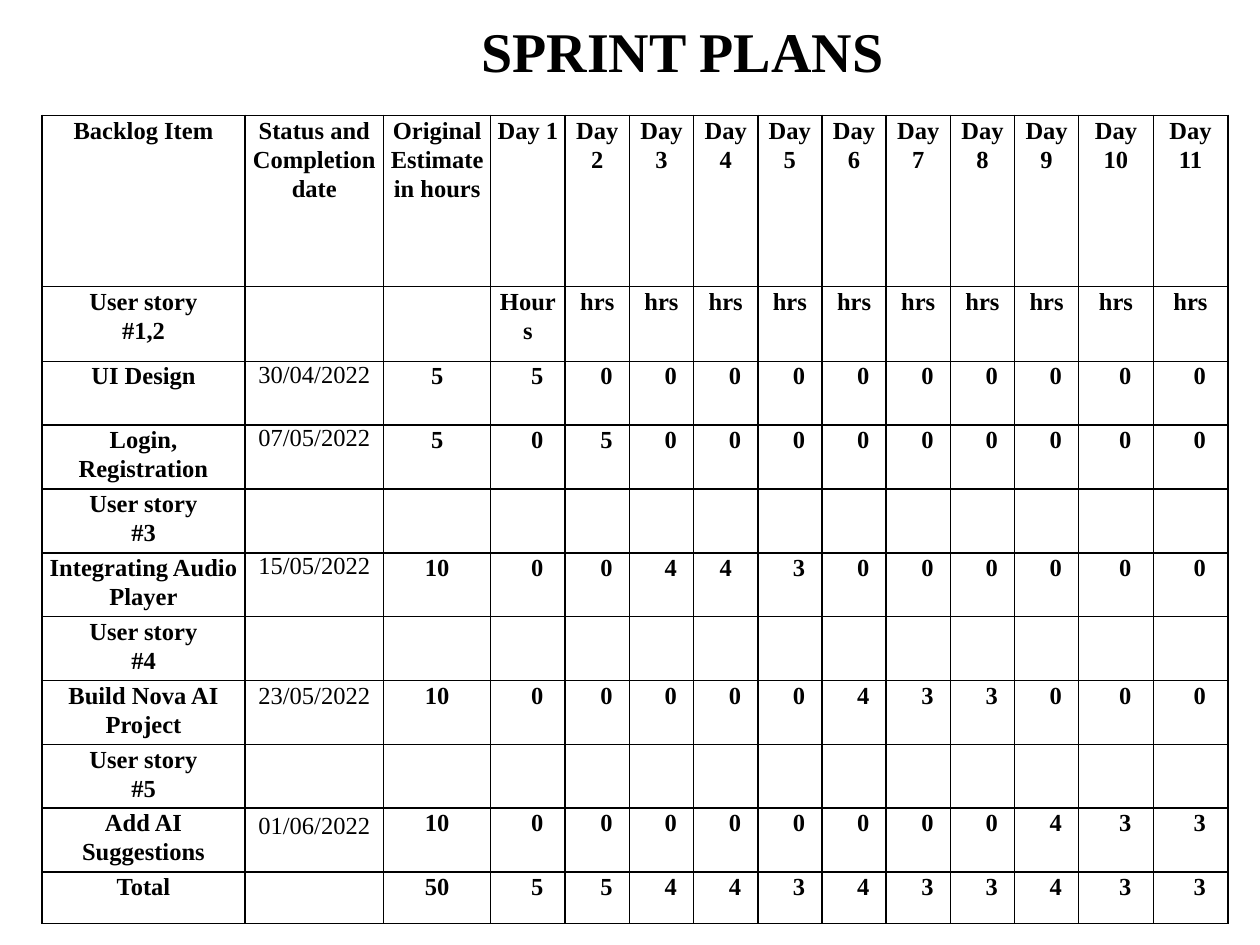
import dataclasses

import pptx
import pptx.dml.color
import pptx.enum.text
import pptx.oxml
import pptx.oxml.ns
import pptx.util

Pt = pptx.util.Pt
ALIGN = pptx.enum.text.PP_ALIGN


@dataclasses.dataclass(frozen=True)
class Theme:
    font: str = "Times New Roman"
    ink: str = "000000"
    title_size: int = 32
    table_size: int = 14
    line_spacing: float = 1.07
    border_width: int = 1
    cell_inset: int = 3
    hours_indent: float = 10.5


def set_attributes(target, values):
    for name, value in values.items():
        setattr(target, name, value)


class SlideBuilder:
    def __init__(self, slide, theme):
        self.slide = slide
        self.theme = theme

    def fill_paragraph(self, paragraph, text, size, bold=True, spacing=1.0):
        set_attributes(paragraph, {"alignment": ALIGN.CENTER, "line_spacing": spacing})
        run = paragraph.add_run()
        run.text = text
        set_attributes(run.font, {"name": self.theme.font, "size": Pt(size), "bold": bold})
        run.font.color.rgb = pptx.dml.color.RGBColor.from_string(self.theme.ink)

    def title(self, text, left, top, width, height):
        box = self.slide.shapes.add_textbox(Pt(left), Pt(top), Pt(width), Pt(height))
        set_attributes(box.text_frame, {
            "word_wrap": False,
            "auto_size": pptx.enum.text.MSO_AUTO_SIZE.SHAPE_TO_FIT_TEXT,
        })
        self.fill_paragraph(box.text_frame.paragraphs[0], text, self.theme.title_size)

    def table(self, left, top, widths, heights):
        frame = self.slide.shapes.add_table(
            len(heights), len(widths), Pt(left), Pt(top), Pt(sum(widths)), Pt(sum(heights)))
        table = frame.table
        set_attributes(table, {"first_row": False, "horz_banding": False})
        for column, width in zip(table.columns, widths):
            column.width = Pt(width)
        for row, height in zip(table.rows, heights):
            row.height = Pt(height)
        return table

    def border(self, cell):
        properties = cell._tc.get_or_add_tcPr()
        for side in ("lnL", "lnR", "lnT", "lnB"):
            properties.append(pptx.oxml.parse_xml(
                f'<a:{side} {pptx.oxml.ns.nsdecls("a")} w="{Pt(self.theme.border_width)}">'
                f'<a:solidFill><a:srgbClr val="{self.theme.ink}"/></a:solidFill></a:{side}>'))

    def cell(self, cell, text, indent=0, bold=True, spacing=None):
        inset = self.theme.cell_inset
        self.border(cell)
        cell.fill.background()
        set_attributes(cell, {
            "margin_left": Pt(inset + indent), "margin_right": Pt(inset),
            "margin_top": 0, "margin_bottom": 0,
        })
        if not text:
            return
        for index, line in enumerate(text.split("\n")):
            frame = cell.text_frame
            paragraph = frame.add_paragraph() if index else frame.paragraphs[0]
            self.fill_paragraph(paragraph, line, self.theme.table_size, bold,
                                spacing or self.theme.line_spacing)


DAYS = 11
FIRST_DAY_COLUMN = 3
DATE_COLUMN = 1
COLUMN_WIDTHS = [116, 79.2, 61.2, 42.6] + [36.7] * 8 + [42.6] * 2
ROW_HEIGHTS = [97.7, 42.8] + [36.5] * 8 + [29.5]


def story(number, hours=("",) * DAYS):
    return [f"User story\n#{number}", "", "", *hours]


def task(name, date, estimate, hours):
    return [name, date, estimate, *hours.split()]


ROWS = [
    ["Backlog Item", "Status and Completion date", "Original Estimate in hours",
     *(f"Day {day}" for day in range(1, DAYS + 1))],
    story("1,2", ["Hours"] + ["hrs"] * (DAYS - 1)),
    task("UI Design", "30/04/2022", "5", "5 0 0 0 0 0 0 0 0 0 0"),
    task("Login, Registration", "07/05/2022", "5", "0 5 0 0 0 0 0 0 0 0 0"),
    story("3"),
    task("Integrating Audio Player", "15/05/2022", "10", "0 0 4 4 3 0 0 0 0 0 0"),
    story("4"),
    task("Build Nova AI Project", "23/05/2022", "10", "0 0 0 0 0 4 3 3 0 0 0"),
    story("5"),
    task("Add AI Suggestions", "01/06/2022", "10", "0 0 0 0 0 0 0 0 4 3 3"),
    task("Total", "", "50", "5 5 4 4 3 4 3 3 4 3 3"),
]
DATE_SPACING = {"23/05/2022": 1.07, "01/06/2022": 1.15}
UNINDENTED_HOURS = {(5, 6)}


def main():
    presentation = pptx.Presentation()
    set_attributes(presentation, {"slide_width": Pt(720), "slide_height": Pt(540)})
    theme = Theme()
    builder = SlideBuilder(presentation.slides.add_slide(presentation.slide_layouts[6]), theme)
    builder.title("SPRINT PLANS", 267, 6, 246, 46)
    table = builder.table(24, 66, COLUMN_WIDTHS, ROW_HEIGHTS)
    for row, texts in enumerate(ROWS):
        for column, text in enumerate(texts):
            style = {}
            if column == DATE_COLUMN and row > 1:
                style = {"bold": False, "spacing": DATE_SPACING.get(text, 1.0)}
            elif (column >= FIRST_DAY_COLUMN and text.isdigit()
                  and (row, column) not in UNINDENTED_HOURS):
                style = {"indent": theme.hours_indent}
            builder.cell(table.cell(row, column), text, **style)
    presentation.save("out.pptx")


if __name__ == "__main__":
    main()
